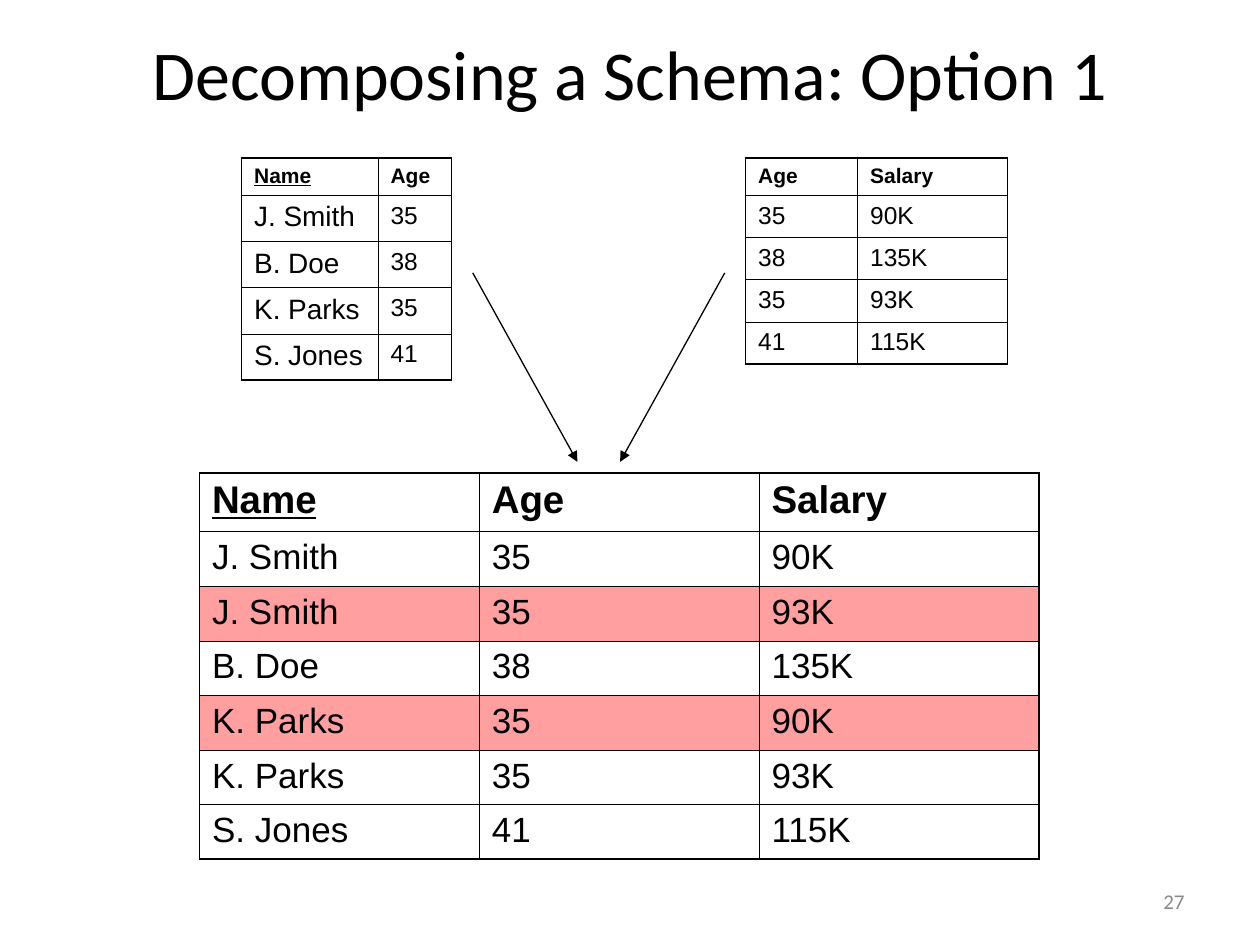
"""Build a slide that joins two decomposed tables back into one."""
from lxml import etree
from pptx import Presentation
from pptx.dml.color import RGBColor
from pptx.enum.shapes import MSO_CONNECTOR
from pptx.enum.text import MSO_ANCHOR, PP_ALIGN
from pptx.oxml.ns import qn
from pptx.util import Cm, Pt

STRAIGHT = MSO_CONNECTOR.STRAIGHT
MIDDLE = MSO_ANCHOR.MIDDLE
CENTER, RIGHT = PP_ALIGN.CENTER, PP_ALIGN.RIGHT
TITLE_ONLY = 5


def color(hex_string):
    return RGBColor.from_string(hex_string)


class SlideBuilder:
    ink, muted, highlight = "000000", "898989", "FF9F9F"
    heading_font, table_font = "Calibri", "Arial"
    outer_width, inner_width = Pt(1.08), Pt(0.45)

    def __init__(self, slide):
        self.slide = slide

    def format_font(self, paragraph, name, size, hex_string, bold=False):
        font = paragraph.font
        font.name, font.size, font.bold = name, Pt(size), bold
        font.color.rgb = color(hex_string)

    def title(self, text, left, top, width, height):
        heading = self.slide.shapes.title
        heading.left, heading.top = Cm(left), Cm(top)
        heading.width, heading.height = Cm(width), Cm(height)
        heading.text_frame.text = text
        heading.text_frame.vertical_anchor = MIDDLE
        paragraph = heading.text_frame.paragraphs[0]
        paragraph.alignment = CENTER
        self.format_font(paragraph, self.heading_font, 40, self.ink)

    def page_number(self, text, left, top, width, height):
        box = self.slide.shapes.add_textbox(Cm(left), Cm(top), Cm(width), Cm(height))
        frame = box.text_frame
        frame.word_wrap = True
        frame.vertical_anchor = MIDDLE
        frame.text = text
        frame.paragraphs[0].alignment = RIGHT
        self.format_font(frame.paragraphs[0], self.heading_font, 12, self.muted)

    def border(self, cell, side, width):
        properties = cell._tc.get_or_add_tcPr()
        line = etree.SubElement(properties, qn(f"a:ln{side}"), w=str(width))
        fill = etree.SubElement(line, qn("a:solidFill"))
        etree.SubElement(fill, qn("a:srgbClr"), val=self.ink)

    def table(self, rows, left, top, widths, header_height, row_height,
              header_size, body_sizes, key=None, highlighted=()):
        heights = [header_height] + [row_height] * (len(rows) - 1)
        grid = self.slide.shapes.add_table(
            len(rows), len(widths), Cm(left), Cm(top),
            Cm(sum(widths)), Cm(sum(heights))).table
        grid.first_row = grid.horz_banding = False
        for column, width in zip(grid.columns, widths):
            column.width = Cm(width)
        for row, height in zip(grid.rows, heights):
            row.height = Cm(height)
        last_row, last_column = len(rows) - 1, len(widths) - 1
        for r, values in enumerate(rows):
            for c, value in enumerate(values):
                cell = grid.cell(r, c)
                edges = {"L": c == 0, "R": c == last_column,
                         "T": r == 0, "B": r == last_row}
                for side, is_outer in edges.items():
                    self.border(cell, side, self.outer_width if is_outer else self.inner_width)
                if r in highlighted:
                    cell.fill.solid()
                    cell.fill.fore_color.rgb = color(self.highlight)
                else:
                    cell.fill.background()
                cell.text = value
                paragraph = cell.text_frame.paragraphs[0]
                size = header_size if r == 0 else body_sizes[c]
                self.format_font(paragraph, self.table_font, size, self.ink, r == 0)
                if r == 0 and value == key:
                    paragraph.font.underline = True

    def arrow(self, start, end):
        connector = self.slide.shapes.add_connector(
            STRAIGHT, *(Cm(length) for length in (*start, *end)))
        connector.line.color.rgb = color(self.ink)
        connector.line.width = Pt(0.75)
        properties = connector._element.spPr
        etree.SubElement(properties.get_or_add_ln(), qn("a:tailEnd"), type="triangle")
        etree.SubElement(properties, qn("a:effectLst"))


def main():
    presentation = Presentation()
    presentation.slide_width, presentation.slide_height = Cm(25.4), Cm(19.05)
    layout = presentation.slide_layouts[TITLE_ONLY]
    builder = SlideBuilder(presentation.slides.add_slide(layout))

    builder.title("Decomposing a Schema: Option 1", 1.27, 0.2, 22.86, 2.54)

    joined = [("Name", "Age", "Salary"),
              ("J. Smith", "35", "90K"),
              ("J. Smith", "35", "93K"),
              ("B. Doe", "38", "135K"),
              ("K. Parks", "35", "90K"),
              ("K. Parks", "35", "93K"),
              ("S. Jones", "41", "115K")]
    builder.table(joined, 4.02, 9.53, [5.64] * 3, 1.19, 1.1, 22, [20] * 3,
                  key="Name", highlighted=(2, 4))

    ages = [("Name", "Age"), ("J. Smith", "35"), ("B. Doe", "38"),
            ("K. Parks", "35"), ("S. Jones", "41")]
    builder.table(ages, 4.87, 3.18, [2.75, 1.48], 0.76, 0.93, 12, [16, 14], key="Name")

    salaries = [("Age", "Salary"), ("35", "90K"), ("38", "135K"),
                ("35", "93K"), ("41", "115K")]
    builder.table(salaries, 15.03, 3.18, [2.26, 3.02], 0.76, 0.85, 12, [14, 14])

    for start_x, end_x in ((9.53, 11.64), (14.61, 12.5)):
        builder.arrow((start_x, 5.5), (end_x, 9.31))

    builder.page_number("27", 18.2, 17.66, 5.93, 1.01)
    presentation.save("out.pptx")


if __name__ == "__main__":
    main()
